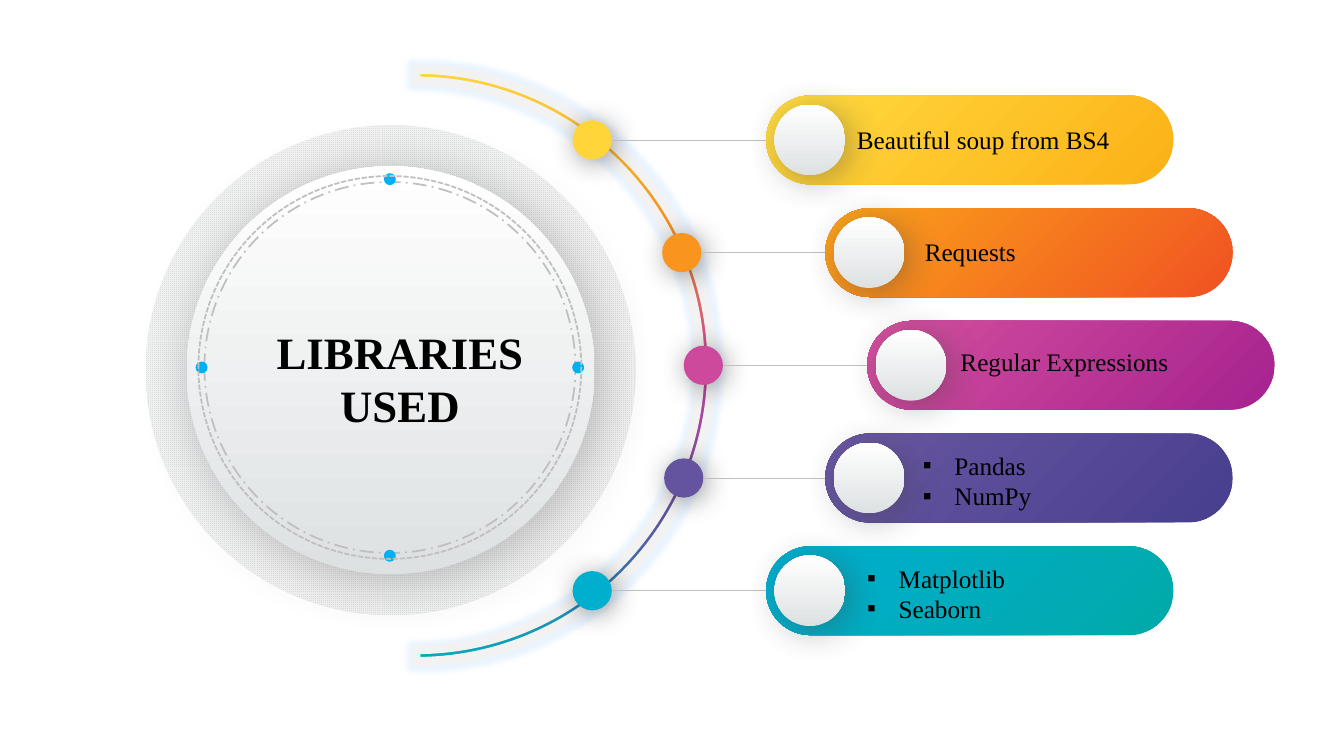
from dataclasses import dataclass

from lxml.etree import SubElement
from pptx import Presentation
from pptx.dml.color import RGBColor
from pptx.enum.dml import MSO_LINE, MSO_PATTERN
from pptx.enum.shapes import MSO_CONNECTOR, MSO_SHAPE
from pptx.enum.text import MSO_ANCHOR, MSO_AUTO_SIZE, PP_ALIGN
from pptx.oxml.ns import qn
from pptx.util import Pt


@dataclass(frozen=True)
class Theme:
    """Colours, font and type sizes of the deck."""
    font: str = "Times New Roman"
    title_size: int = 32
    label_size: int = 18
    text: str = "000000"
    rule: str = "BFBFBF"
    pale: str = "F2F2F2"
    silver: str = "DDE1E2"
    white: str = "FFFFFF"
    accent: str = "00B0F0"
    glow: str = "DDEEFF"
    arc: tuple = ("FFD63A", "F4941D", "C74399", "60509C", "00ACBE")
    dial_shadow: tuple = ("595959", 40, 6)
    knob_shadow: tuple = ("404040", 26, 5)
    dot_shadow: tuple = ("000000", 20, 3)


@dataclass(frozen=True)
class Box:
    """A rectangle in points."""
    left: float
    top: float
    width: float
    height: float

    @property
    def centre(self):
        """Return the middle point."""
        return self.left + self.width / 2, self.top + self.height / 2

    def lengths(self):
        """Return the four sides as slide lengths."""
        return [Pt(side) for side in (self.left, self.top, self.width, self.height)]


@dataclass(frozen=True)
class Library:
    """One row: pill, its dot on the arc and its label."""
    lines: tuple
    pill_left: float
    dot_left: float
    text_left: float
    text_top: float
    dot: str
    shades: tuple


THEME = Theme()
LIBRARIES = (
    Library(("Beautiful soup from BS4",), 547.2, 409, 57.8, 17.25, "FFD539", ("FCB117", "FFDB3F")),
    Library(("Requests",), 589.5, 473, 64, 16.5, "F9951F", ("F05222", "FBA31A")),
    Library(("Regular Expressions",), 619.4, 488.4, 59.6, 14.5, "CC499B", ("A6228F", "D3509D")),
    Library(("Pandas", "NumPy"), 589.5, 474.4, 62.5, 8.2, "64539E", ("473E8F", "6957A1")),
    Library(("Matplotlib", "Seaborn"), 547.2, 409, 65, 8.2, "00AECD", ("00AAA9", "00AED0")),
)
ROW_TOP, ROW_PITCH, PILL_WIDTH, PILL_HEIGHT = 68.2, 80.5, 291, 63.5
DOT, KNOB, KNOB_INSET = 28, 50.5, 6


def rgb(value):
    """Turn a hex string into a colour."""
    return RGBColor.from_string(value)


def circle(centre, size):
    """Return the square box around a centre."""
    return Box(centre[0] - size / 2, centre[1] - size / 2, size, size)


def add_effect(shape, tag, colour, alpha, **lengths):
    """Put one soft effect on a shape."""
    effects = shape.element.spPr.find(qn("a:effectLst"))
    effect = SubElement(effects, qn(tag), {name: str(value) for name, value in lengths.items()})
    tint = SubElement(effect, qn("a:srgbClr"), val=colour)
    SubElement(tint, qn("a:alpha"), val=str(alpha * 1000))


def fill_gradient(shape, colours, angle):
    """Fill a shape with evenly spaced colour stops."""
    shape.fill.gradient()
    shape.fill.gradient_angle = angle
    stops = shape.element.spPr.find(qn("a:gradFill")).find(qn("a:gsLst"))
    for stop in list(stops):
        stops.remove(stop)
    for index, colour in enumerate(colours):
        position = 100000 * index // (len(colours) - 1)
        stop = SubElement(stops, qn("a:gs"), pos=str(position))
        SubElement(stop, qn("a:srgbClr"), val=colour)


def add_plain(page, box, kind=MSO_SHAPE.OVAL, colour=None, shadow=None):
    """Add a shape without outline, with optional fill and shadow."""
    shape = page.shapes.add_shape(kind, *box.lengths())
    shape.shadow.inherit = False
    shape.line.fill.background()
    if colour:
        shape.fill.solid()
        shape.fill.fore_color.rgb = rgb(colour)
    else:
        shape.fill.background()
    if shadow:
        tint, blur, distance = shadow
        add_effect(shape, "a:outerShdw", tint, 40, blurRad=Pt(blur), dist=Pt(distance),
                   dir=45 * 60000, algn="tl", rotWithShape=0)
    return shape


def write_text(shape, box, lines, size, bold=False, align=PP_ALIGN.LEFT, bullet=None):
    """Place a text shape on top and write its paragraphs."""
    shape.left, shape.top, shape.width, shape.height = box.lengths()
    shape.element.getparent().append(shape.element)
    frame = shape.text_frame
    frame.word_wrap = True
    frame.auto_size = MSO_AUTO_SIZE.NONE
    frame.vertical_anchor = MSO_ANCHOR.TOP
    for index, line in enumerate(lines):
        para = frame.add_paragraph() if index else frame.paragraphs[0]
        para.alignment = align
        para.space_before = Pt(0)
        if bullet:
            properties = para._p.get_or_add_pPr()
            properties.set("marL", str(Pt(22.5)))
            properties.set("indent", str(-Pt(22.5)))
            SubElement(properties, qn("a:buChar"), char=bullet)
        span = para.add_run()
        span.text = line
        span.font.name = THEME.font
        span.font.size = Pt(size)
        span.font.bold = bold
        span.font.color.rgb = rgb(THEME.text)


def half_circle(left, middle, radius):
    """Return the nodes and handles of a right half circle, from top to bottom."""
    handle = 0.5523 * radius
    offsets = ((0, -radius), (handle, -radius), (radius, -handle), (radius, 0),
               (radius, handle), (handle, radius), (0, radius))
    return [(Pt(left + across), Pt(middle + down)) for across, down in offsets]


def bend_segments(shape, firsts):
    """Join each three line segments that begin at the given indexes into one curve."""
    segments = list(shape.element.iter(qn("a:lnTo")))
    for first in firsts:
        head, *handles = segments[first:first + 3]
        for segment in handles:
            head.append(segment[0])
            segment.getparent().remove(segment)
        head.tag = qn("a:cubicBezTo")


def add_arc(page, box):
    """Draw the half ring that fills the box."""
    radius, thickness = box.height / 2, 8.5
    middle = box.centre[1]
    points = half_circle(box.left, middle, radius)
    points += half_circle(box.left, middle, radius - thickness)[::-1]
    builder = page.shapes.build_freeform(*points[0])
    builder.add_line_segments(points[1:], close=True)
    arc = builder.convert_to_shape()
    bend_segments(arc, (0, 3, 7, 10))
    arc.shadow.inherit = False
    fill_gradient(arc, THEME.arc, 270)
    arc.line.color.rgb = rgb(THEME.pale)
    arc.line.width = Pt(6.5)
    add_effect(arc, "a:glow", THEME.glow, 60, rad=Pt(7))


def add_dial(page, box):
    """Draw the large dial with its rings, markers and title."""
    centre = box.centre
    rim = add_plain(page, box)
    rim.fill.patterned()
    rim.fill.pattern = MSO_PATTERN.SMALL_GRID
    rim.fill.fore_color.rgb = rgb(THEME.pale)
    rim.fill.back_color.rgb = rgb(THEME.silver)
    plate = add_plain(page, circle(centre, 291.5), shadow=THEME.dial_shadow)
    fill_gradient(plate, (THEME.silver, THEME.white), 90)
    hub = centre[0] - 0.5, centre[1] - 2
    for size, dash in ((265, MSO_LINE.LONG_DASH_DOT), (273.5, MSO_LINE.SQUARE_DOT)):
        ring = add_plain(page, circle(hub, size))
        ring.line.color.rgb = rgb(THEME.rule)
        ring.line.width = Pt(1.25)
        ring.line.dash_style = dash
        if dash == MSO_LINE.LONG_DASH_DOT:
            for across, down in ((0, -1), (0, 1), (1, 0), (-1, 0)):
                spot = hub[0] + 134.5 * across, hub[1] + 134.5 * down
                add_plain(page, circle(spot, 8.5), colour=THEME.accent)
    title_box = Box(box.left + 79.2, box.top + 138.5, 205, 85)
    write_text(page.shapes.title, title_box, ("LIBRARIES USED",), THEME.title_size,
               bold=True, align=PP_ALIGN.CENTER)


def add_link(page, start, end):
    """Draw the thin line from a dot to its pill."""
    link = page.shapes.add_connector(MSO_CONNECTOR.STRAIGHT, *map(Pt, start + end))
    link.line.color.rgb = rgb(THEME.rule)
    link.line.width = Pt(0.5)
    SubElement(link.element.spPr, qn("a:effectLst"))


def add_library(page, box, library, lists):
    """Draw one row: dot, link, pill, knob and label."""
    middle = box.centre[1]
    add_plain(page, circle((library.dot_left + DOT / 2, middle), DOT),
              colour=library.dot, shadow=THEME.dot_shadow)
    add_link(page, (library.dot_left + DOT, middle), (box.left, middle))
    pill = add_plain(page, box, MSO_SHAPE.ROUNDED_RECTANGLE)
    pill.adjustments[0] = 0.5
    fill_gradient(pill, library.shades, 135)
    knob = add_plain(page, circle((box.left + KNOB_INSET + KNOB / 2, middle), KNOB),
                     shadow=THEME.knob_shadow)
    fill_gradient(knob, (THEME.silver, THEME.white), 90)
    is_list = len(library.lines) > 1
    label_box = Box(box.left + library.text_left, box.top + library.text_top,
                    205, 51 if is_list else 29)
    label = next(lists) if is_list else page.shapes.add_textbox(*label_box.lengths())
    write_text(label, label_box, library.lines, THEME.label_size, bullet="▪" if is_list else None)


def main():
    """Build and save the deck."""
    deck = Presentation()
    deck.slide_width, deck.slide_height = Pt(960), Pt(540)
    page = deck.slides.add_slide(deck.slide_layouts[3])
    lists = iter([page.placeholders[1], page.placeholders[2]])
    add_arc(page, Box(297, 49.5, 211.5, 423))
    add_dial(page, Box(104, 89.5, 350, 350))
    for row, library in enumerate(LIBRARIES):
        box = Box(library.pill_left, ROW_TOP + row * ROW_PITCH, PILL_WIDTH, PILL_HEIGHT)
        add_library(page, box, library, lists)
    deck.save("out.pptx")


if __name__ == "__main__":
    main()
